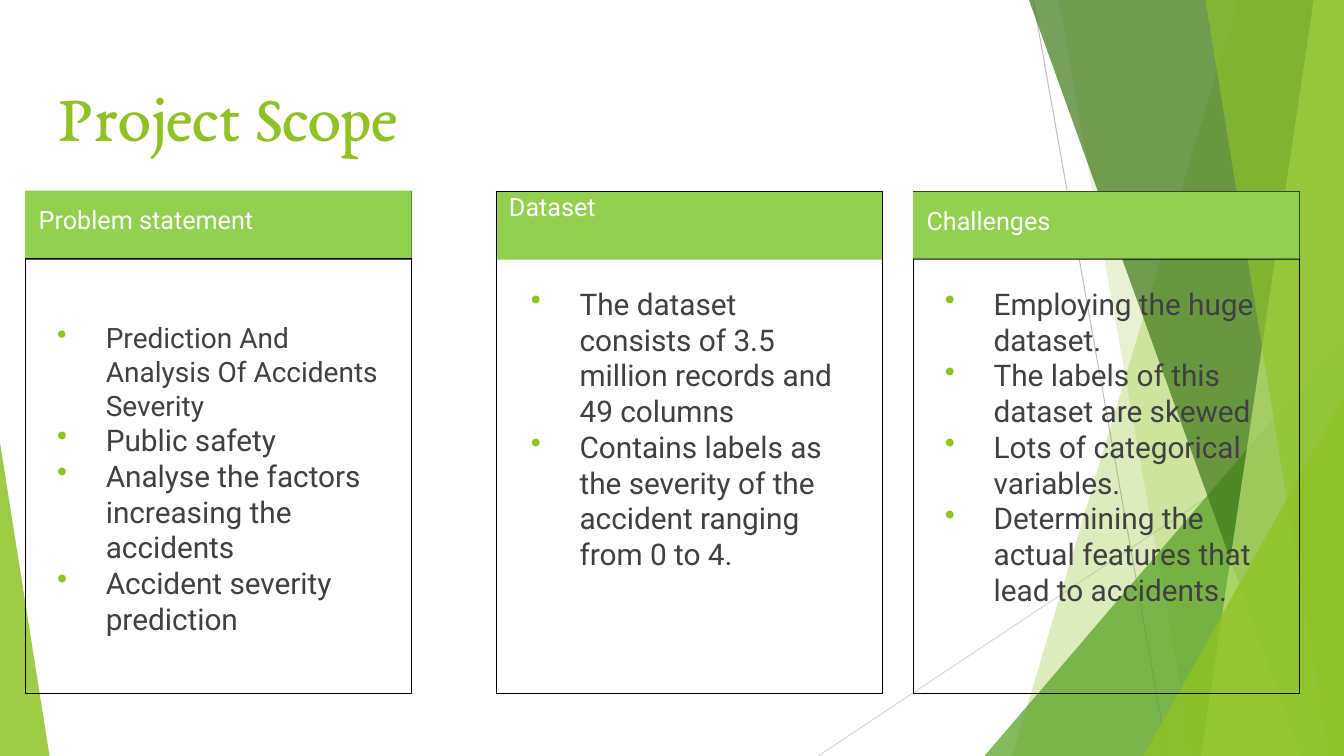
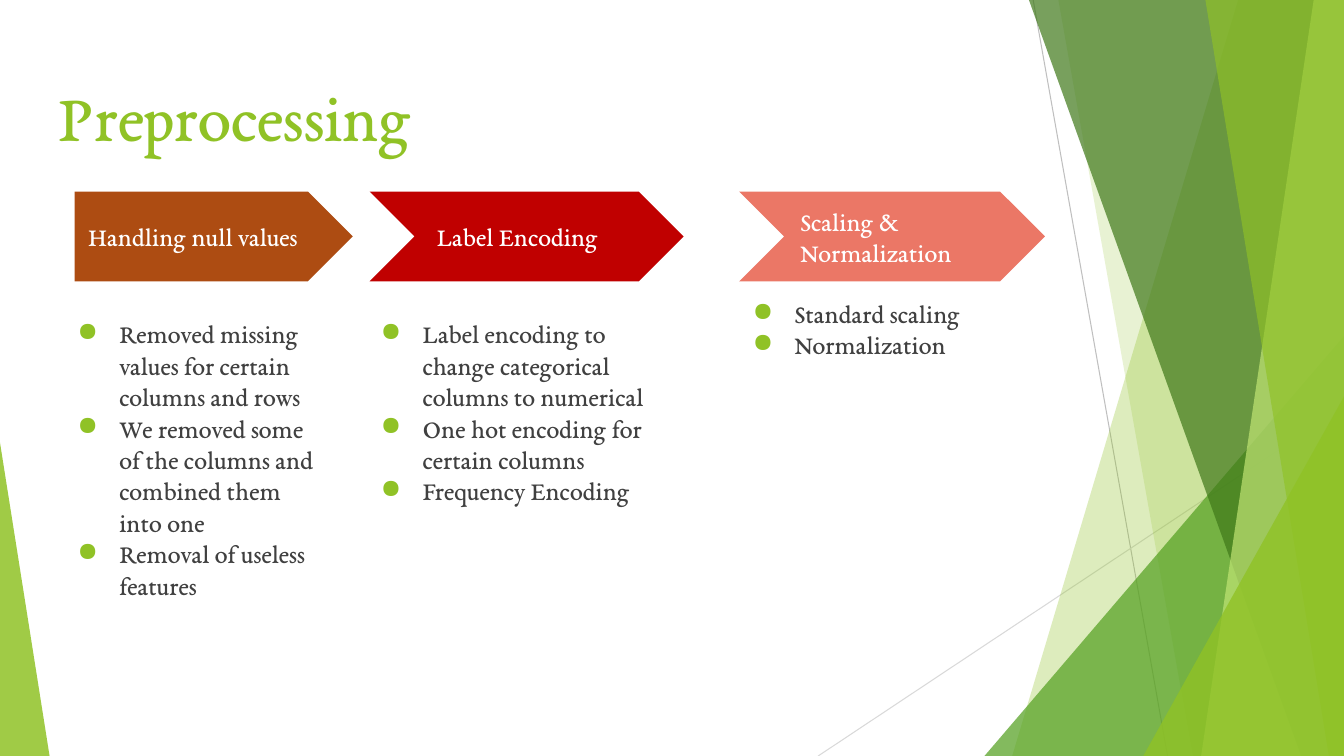
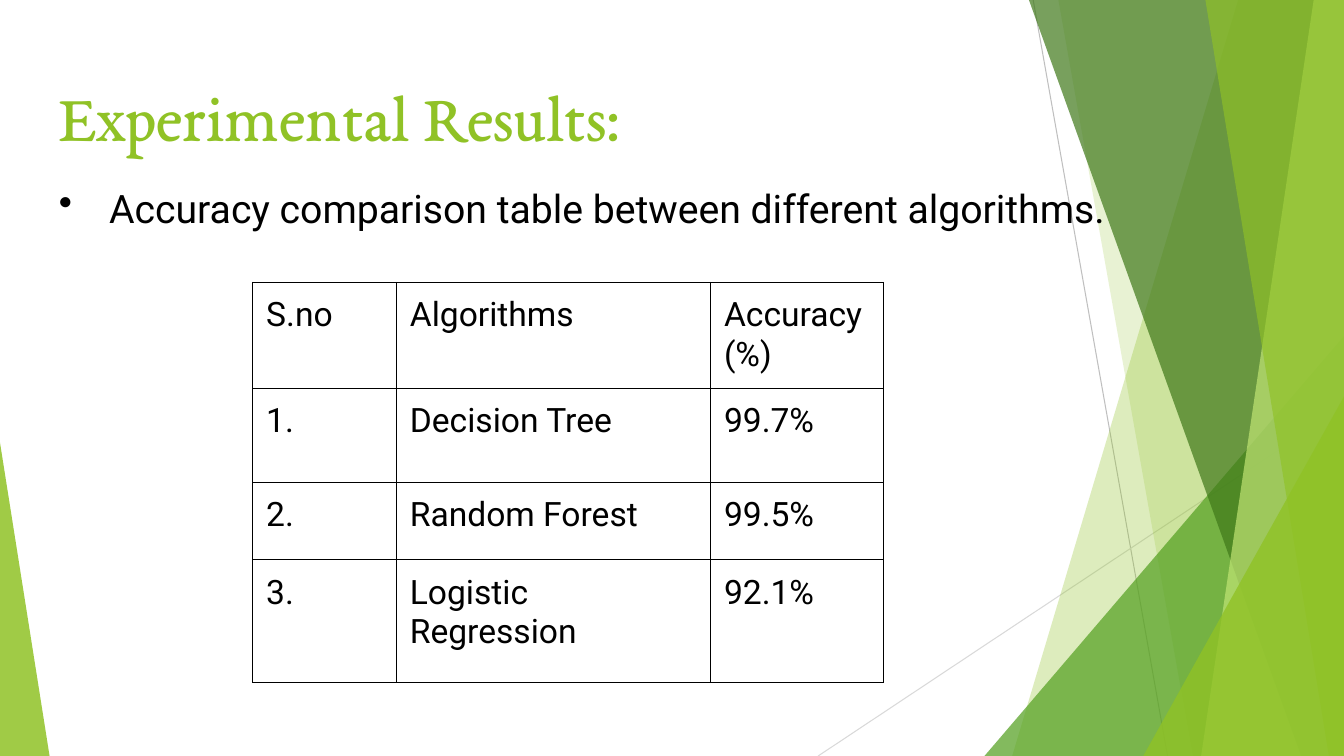
from lxml import etree
from pptx import Presentation
from pptx.dml.color import RGBColor
from pptx.enum import shapes, text
from pptx.oxml.ns import qn
from pptx.util import Pt

COLOURS = {
    "lime": "90C226", "leaf": "54A021", "forest": "3F7819", "pale": "C0E474",
    "header": "92D050", "brown": "AD4C12", "red": "C00000", "coral": "EB7766",
    "black": "000000", "white": "FFFFFF", "body": "404040",
    "grey": "BFBFBF", "silver": "D9D9D9",
}
SERIF, SANS = "EB Garamond", "Roboto"
KIND = shapes.MSO_SHAPE

# Grid of 160 columns by 90 rows of square cells
prs = Presentation()
prs.slide_width, prs.slide_height = 12192000, 6858000
COLS, ROWS = 160, 90
CELL = prs.slide_width // COLS
INSET = 1.6 * CELL


def box(s, kind, at, fill=None, line=None):
    """Add a preset shape, or a text box when kind is None."""
    place = [int(v * CELL) for v in at]
    sp = s.shapes.add_shape(kind, *place) if kind else s.shapes.add_textbox(*place)
    if kind:
        sp.shadow.inherit = False
    if fill:
        sp.fill.solid()
        sp.fill.fore_color.rgb = RGBColor.from_string(COLOURS[fill])
    else:
        sp.fill.background()
    if line:
        sp.line.color.rgb = RGBColor.from_string(COLOURS[line])
        sp.line.width = Pt(0.75)
    else:
        sp.line.fill.background()
    return sp


def write(holder, lines, size, font, colour, bullet=None, indent=(0, 0),
          bullet_colour="lime", anchor=text.MSO_ANCHOR.TOP):
    """Fill a shape or a table cell with left-aligned paragraphs."""
    tf = holder.text_frame
    is_cell = hasattr(holder, "margin_left")
    edges = holder if is_cell else tf
    edges.margin_left = edges.margin_right = int(INSET)
    edges.margin_top = edges.margin_bottom = int(INSET)
    edges.vertical_anchor = anchor
    if not is_cell:
        tf.word_wrap = True
        tf.auto_size = text.MSO_AUTO_SIZE.NONE
    for i, line in enumerate(lines):
        p = tf.paragraphs[0] if i == 0 else tf.add_paragraph()
        p.text = line
        p.alignment = text.PP_ALIGN.LEFT
        for r in p.runs:
            r.font.size, r.font.name, r.font.bold = Pt(size), font, False
            r.font.color.rgb = RGBColor.from_string(COLOURS[colour])
        if bullet:
            pPr = p._p.get_or_add_pPr()
            pPr.set("marL", str(int(indent[0] * CELL)))
            pPr.set("indent", str(int(indent[1] * CELL)))
            clr = etree.SubElement(pPr, qn("a:buClr"))
            etree.SubElement(clr, qn("a:srgbClr")).set("val", COLOURS[bullet_colour])
            etree.SubElement(pPr, qn("a:buChar")).set("char", bullet)


# Slides and their titles; the title's place is set on the layout
layout = prs.slide_layouts[5]
title = layout.placeholders[0]
title.left, title.top = int(5.4 * CELL), int(7.2 * CELL)
title.width, title.height = int(149 * CELL), int(10.7 * CELL)
scope, prep, results = [prs.slides.add_slide(layout) for _ in range(3)]
for s, heading in ((scope, "Project Scope"), (prep, "Preprocessing"),
                   (results, "Experimental Results:")):
    write(s.shapes.title, [heading], 48, SERIF, "lime")

# Shared facets, drawn once and moved to the layout
facets = []
for x1, y1, x2, y2, colour in ((123, 0, 139, 90, "grey"), (160, 48.4, 97.4, 90, "silver")):
    ray = scope.shapes.add_connector(shapes.MSO_CONNECTOR.STRAIGHT,
                                     *[int(v * CELL) for v in (x1, y1, x2, y2)])
    ray.line.color.rgb = RGBColor.from_string(COLOURS[colour])
    ray.line.width = Pt(0.75)
    etree.SubElement(ray.element.spPr, qn("a:effectLst"))
    facets.append(ray)

# Panes give the top and bottom of their slanted edge; triangles a place and an apex
for outline, apex, colour, opacity in (
        ((147.4, 120.5), None, "lime", 30),
        ((126, 142), None, "lime", 20),
        ((117.2, 40, 42.8, 50), 1, "leaf", 72),
        ((122.5, 154.9), None, "forest", 70),
        ((156.4, 143), None, "pale", 70),
        ((143.5, 158.2), None, "lime", 65),
        ((136.1, 47.2, 23.9, 42.8), 1, "lime", 80),
        ((0, 52.7, 5.9, 37.3), 0, "lime", 85)):
    if apex is None:
        top, bottom = outline
        pen = scope.shapes.build_freeform(int(top * CELL), 0)
        pen.add_line_segments([(x * CELL, y * CELL) for x, y in
                               ((COLS, 0), (COLS, ROWS), (bottom, ROWS))])
        facet = pen.convert_to_shape()
        facet.shadow.inherit = False
        facet.line.fill.background()
        facet.fill.solid()
        facet.fill.fore_color.rgb = RGBColor.from_string(COLOURS[colour])
    else:
        facet = box(scope, KIND.ISOSCELES_TRIANGLE, outline, colour)
        facet.adjustments[0] = apex
    shade = facet.element.spPr.find(qn("a:solidFill"))[0]
    etree.SubElement(shade, qn("a:alpha")).set("val", str(opacity * 1000))
    facets.append(facet)
for facet in facets:
    layout.shapes.element.append(facet.element)

# Project Scope: three cards with a header strip
CARD_TOP, CARD_W, CARD_H, STRIP_H = 22.8, 46, 59.8, 8.1
for left, strip, header_at, header_fill, body_at, name, points in (
        (3, "black", (3, 22.7, 46, 8), "header", (3, 36.6, 46.1, 46),
         "Problem statement",
         ["Prediction And Analysis Of Accidents Severity", "Public safety",
          "Analyse the factors increasing the accidents", "Accident severity prediction"]),
        (59.1, "header", (59, 21.2, 43.7, 8), None, (59.4, 32.4, 43.3, 49),
         "Dataset",
         ["The dataset consists of 3.5 million records and 49 columns",
          "Contains labels as the severity of the accident ranging from 0 to 4."]),
        (108.7, "black", (108.7, 22.8, 46, 8), "header", (108.7, 32.4, 44.6, 49),
         "Challenges",
         ["Employing the huge dataset.", "The labels of this dataset are skewed",
          "Lots of categorical variables.",
          "Determining the actual features that lead to accidents."])):
    box(scope, KIND.RECTANGLE, (left, CARD_TOP, CARD_W, STRIP_H), strip)
    box(scope, KIND.RECTANGLE, (left, CARD_TOP, CARD_W, CARD_H), line="black")
    header = box(scope, KIND.RECTANGLE if header_fill else None, header_at, header_fill)
    write(header, [name], 18, SANS, "white")
    body = box(scope, None, body_at)
    write(body, points, 21.3, SANS, "body", "•", (8, -5.8))
    if name == "Problem statement":
        body.text_frame.paragraphs[0].runs[0].font.size = Pt(20)

# Preprocessing: three step arrows, each with its points below
for kind, left, width, colour, label_left, label_w, body_at, name, points in (
        (KIND.PENTAGON, 8.9, 33.1, "brown", 8.9, 30.5, (7.6, 36.2, 33.1),
         "Handling null values",
         ["Removed missing values for certain columns and rows",
          "We removed some of the columns and combined them into one",
          "Removal of useless features"]),
        (KIND.CHEVRON, 44, 37.4, "red", 50.4, 27.1, (43.7, 36.2, 36.4),
         "Label Encoding",
         ["Label encoding to change categorical columns to numerical",
          "One hot encoding for certain columns", "Frequency Encoding"]),
        (KIND.CHEVRON, 88, 36.4, "coral", 93.7, 28.8, (88, 33.8, 36.4),
         "Scaling & Normalization",
         ["Standard scaling", "Normalization"])):
    box(prep, kind, (left, 22.8, width, 10.7), colour)
    label = box(prep, None, (label_left, 25.4, label_w, 5.5))
    write(label, [name], 18.7, SERIF, "white", anchor=text.MSO_ANCHOR.MIDDLE)
    body = box(prep, None, (*body_at, 46.4))
    write(body, points, 18.7, SERIF, "body", "●", (5, -5.5))

# Experimental Results: lead line and accuracy table
lead = box(results, None, (5.4, 20.3, 149, 8))
write(lead, ["Accuracy comparison table between different algorithms."], 28, SANS,
      "black", "•", (6, -6), "black")

scores = [("S.no", "Algorithms", "Accuracy\v(%)"),
          ("1.", "Decision Tree", "99.7%"),
          ("2.", "Random Forest", "99.5%"),
          ("3.", "Logistic Regression", "92.1%")]
widths, heights = (17.1, 37.4, 20.6), (12.5, 11.2, 9.2, 14.6)
table = results.shapes.add_table(
    len(heights), len(widths),
    *[int(v * CELL) for v in (30.1, 33.6, sum(widths), sum(heights))]).table
table.first_row = table.horz_banding = False
for column, width in zip(table.columns, widths):
    column.width = int(width * CELL)
for row, height, values in zip(table.rows, heights, scores):
    row.height = int(height * CELL)
    for cell, value in zip(row.cells, values):
        write(cell, [value], 24, SANS, "black")
        cell.fill.background()
        tcPr = cell._tc.get_or_add_tcPr()
        for i, side in enumerate(("lnL", "lnR", "lnT", "lnB")):
            border = etree.Element(qn("a:" + side), w=str(Pt(0.75)))
            ink = etree.SubElement(border, qn("a:solidFill"))
            etree.SubElement(ink, qn("a:srgbClr")).set("val", COLOURS["black"])
            tcPr.insert(i, border)

prs.save("out.pptx")
